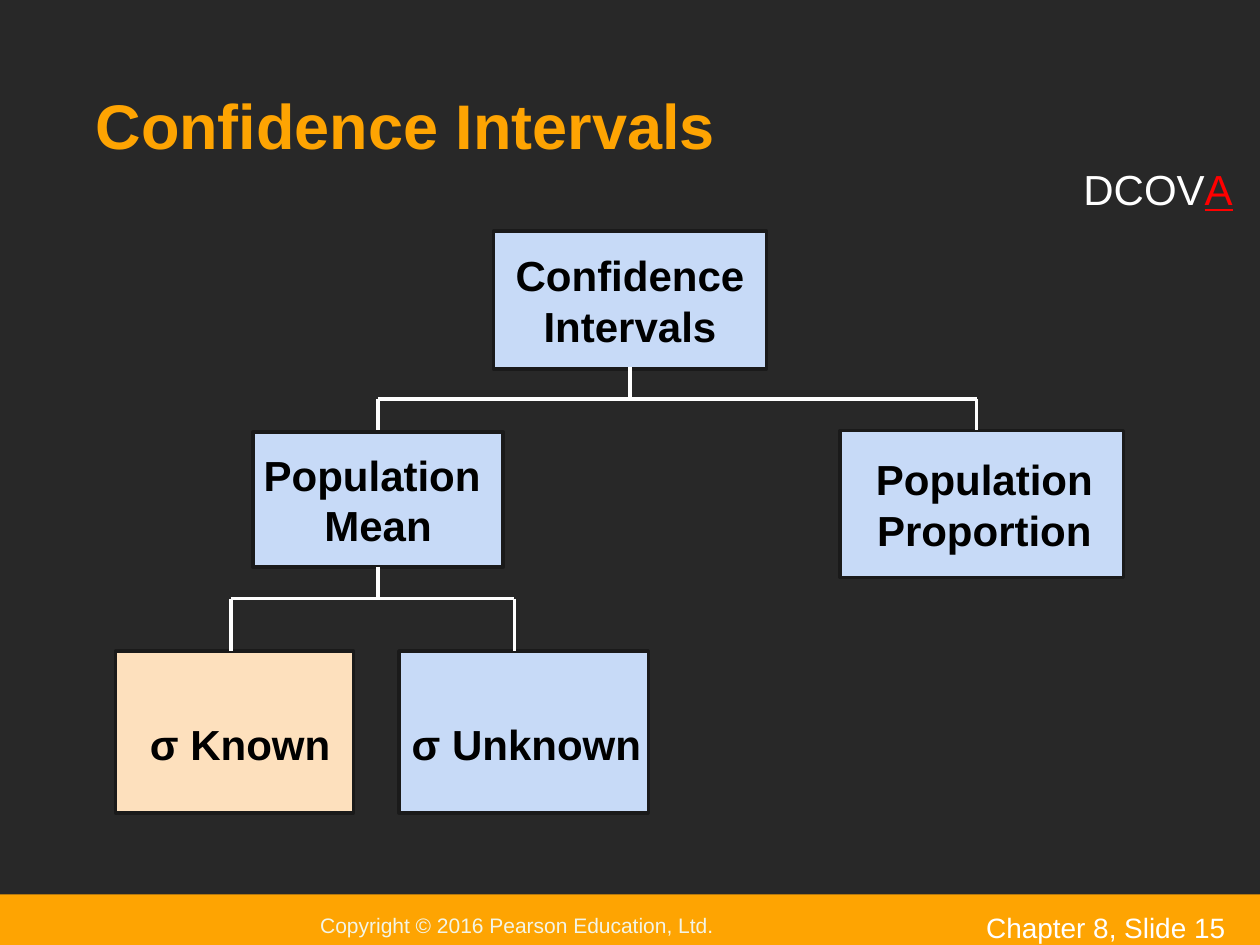
from dataclasses import dataclass

from lxml import etree
from pptx import Presentation
from pptx.dml.color import RGBColor
from pptx.enum.shapes import MSO_CONNECTOR, MSO_SHAPE
from pptx.enum.text import MSO_ANCHOR, MSO_AUTO_SIZE, PP_ALIGN
from pptx.oxml.ns import qn
from pptx.util import Pt

RECTANGLE = MSO_SHAPE.RECTANGLE
STRAIGHT = MSO_CONNECTOR.STRAIGHT
TOP, MIDDLE, BOTTOM = MSO_ANCHOR.TOP, MSO_ANCHOR.MIDDLE, MSO_ANCHOR.BOTTOM
LEFT, CENTER = PP_ALIGN.LEFT, PP_ALIGN.CENTER
NO_AUTOFIT = MSO_AUTO_SIZE.NONE
TITLE_ONLY = 5

COLORS = {
    "background": "282828",
    "accent": "FEA402",
    "box": "C7DAF7",
    "highlight": "FDE0BD",
    "outline": "1A1A1A",
    "text": "000000",
    "white": "FFFFFF",
    "copyright": "F3F5E7",
    "red": "FF0000",
}


@dataclass
class TreeBox:
    lines: list[str]
    left: float
    top: float
    width: float
    height: float
    fill: str = "box"
    inset_left: float = 0
    inset_top: float = 0


@dataclass
class Bracket:
    parent_x: float
    top: float
    bar_y: float
    bottom: float
    child_xs: tuple[float, float]


TREE_BOXES = [
    TreeBox(["Confidence", "Intervals"], 282, 132, 156, 79),
    TreeBox(["Population ", "Mean"], 144.5, 247, 143, 77),
    TreeBox(["Population", "Proportion"], 480, 246, 162, 84, inset_left=3),
    TreeBox(["σ Known"], 66, 372, 136, 92.5, "highlight", 6.5, 13),
    TreeBox(["σ Unknown"], 228, 372, 142.5, 92.5, "box", 3, 13),
]
BRACKETS = [
    Bracket(360, 210, 228, 246, (216, 558)),
    Bracket(216, 324, 342, 372, (132, 294)),
]


def color(name: str) -> RGBColor:
    return RGBColor.from_string(COLORS[name])


def format_frame(frame, insets=(0, 0, 0, 0), **settings) -> None:
    """Set the insets (left, top, right, bottom) and any other frame values."""
    sides = ("margin_left", "margin_top", "margin_right", "margin_bottom")
    values = dict(zip(sides, map(Pt, insets)))
    values |= {"word_wrap": True, "auto_size": NO_AUTOFIT} | settings
    for name, value in values.items():
        setattr(frame, name, value)


def format_font(font, size: float, color_name: str, **settings) -> None:
    values = {"name": "Arial", "size": Pt(size)} | settings
    for name, value in values.items():
        setattr(font, name, value)
    font.color.rgb = color(color_name)


def add_rectangle(slide, left: float, top: float, width: float, height: float, fill: str):
    shape = slide.shapes.add_shape(RECTANGLE, Pt(left), Pt(top), Pt(width), Pt(height))
    shape.shadow.inherit = False
    shape.fill.solid()
    shape.fill.fore_color.rgb = color(fill)
    return shape


def add_tree_box(slide, box: TreeBox) -> None:
    shape = add_rectangle(slide, box.left, box.top, box.width, box.height, box.fill)
    shape.line.color.rgb = color("outline")
    shape.line.width = Pt(2)
    frame = shape.text_frame
    insets = (box.inset_left, box.inset_top, 0, 0)
    format_frame(frame, insets, vertical_anchor=MIDDLE)
    frame.text = "\n".join(box.lines)
    for paragraph in frame.paragraphs:
        paragraph.alignment = CENTER
        format_font(paragraph.font, 24, "text", bold=True)


def add_line(slide, x1: float, y1: float, x2: float, y2: float) -> None:
    line = slide.shapes.add_connector(STRAIGHT, Pt(x1), Pt(y1), Pt(x2), Pt(y2))
    line.line.color.rgb = color("white")
    line.line.width = Pt(2.25)
    etree.SubElement(line._element.spPr, qn("a:effectLst"))


def add_bracket(slide, bracket: Bracket) -> None:
    """Join a parent box to its children by a stem, a bar and drops."""
    add_line(slide, bracket.parent_x, bracket.top, bracket.parent_x, bracket.bar_y)
    first, last = bracket.child_xs
    add_line(slide, first, bracket.bar_y, last, bracket.bar_y)
    for x in bracket.child_xs:
        add_line(slide, x, bracket.bar_y, x, bracket.bottom)


def add_label(slide, left: float, top: float, width: float, height: float,
              size: float, runs: list[tuple[str, str, bool]]) -> None:
    """Add one line of text from runs of (text, color name, underline)."""
    label = slide.shapes.add_textbox(Pt(left), Pt(top), Pt(width), Pt(height))
    format_frame(label.text_frame, (7.2, 3.6, 0, 3.6), vertical_anchor=TOP)
    paragraph = label.text_frame.paragraphs[0]
    for text, color_name, underline in runs:
        run = paragraph.add_run()
        run.text = text
        format_font(run.font, size, color_name, underline=underline)


def add_footer(slide) -> None:
    bar = add_rectangle(slide, 0, 511, 720, 35, "accent")
    bar.line.fill.background()
    format_frame(bar.text_frame, (183, 0, 0, 0), vertical_anchor=MIDDLE)
    paragraph = bar.text_frame.paragraphs[0]
    paragraph.text = "Copyright © 2016 Pearson Education, Ltd."
    paragraph.alignment = LEFT
    format_font(paragraph.font, 12, "copyright")
    add_label(slide, 556.5, 517, 163, 19, 16, [("Chapter 8, Slide 15", "white", False)])


def format_title(slide) -> None:
    title = slide.shapes.title
    title.left, title.top, title.width, title.height = map(Pt, (48, 18, 624, 78))
    format_frame(title.text_frame, (6.6, 3.6, 6.6, 3.6), vertical_anchor=BOTTOM)
    paragraph = title.text_frame.paragraphs[0]
    paragraph.text = "Confidence Intervals"
    paragraph.alignment = LEFT
    format_font(paragraph.font, 36, "accent", bold=True)


def main() -> None:
    presentation = Presentation()
    presentation.slide_width, presentation.slide_height = Pt(720), Pt(540)
    slide = presentation.slides.add_slide(presentation.slide_layouts[TITLE_ONLY])
    slide.background.fill.solid()
    slide.background.fill.fore_color.rgb = color("background")
    add_footer(slide)
    format_title(slide)
    for box in TREE_BOXES:
        add_tree_box(slide, box)
    for bracket in BRACKETS:
        add_bracket(slide, bracket)
    add_label(slide, 612, 90, 99, 36, 24, [("DCOV", "white", False), ("A", "red", True)])
    presentation.save("out.pptx")


if __name__ == "__main__":
    main()
